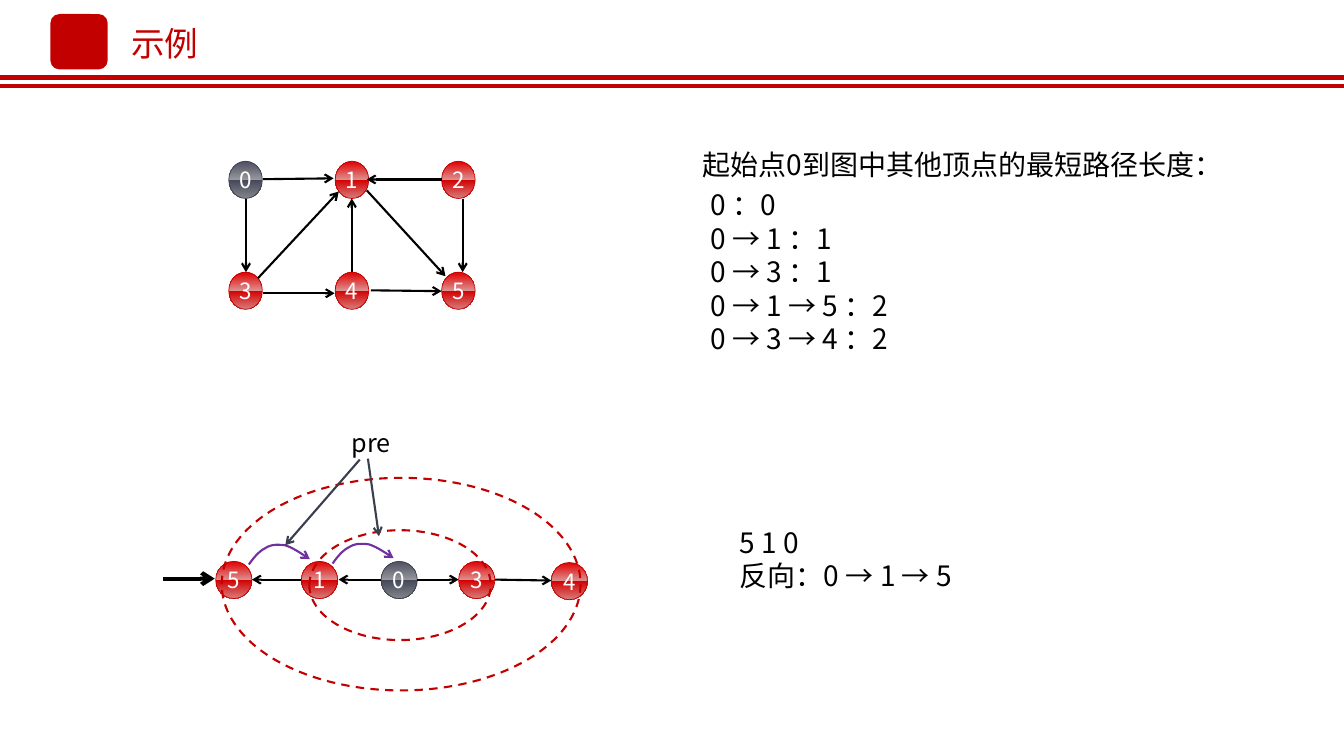
from lxml import etree
from pptx import Presentation
from pptx.dml.color import RGBColor
from pptx.enum.dml import MSO_LINE
from pptx.enum.shapes import MSO_CONNECTOR, MSO_SHAPE
from pptx.enum.text import MSO_ANCHOR, MSO_AUTO_SIZE, PP_ALIGN
from pptx.oxml.ns import qn
from pptx.util import Pt

STRAIGHT = MSO_CONNECTOR.STRAIGHT
OVAL, BADGE = MSO_SHAPE.OVAL, MSO_SHAPE.ROUNDED_RECTANGLE
DASH = MSO_LINE.DASH
MIDDLE = MSO_ANCHOR.MIDDLE
GROW, FIXED = MSO_AUTO_SIZE.SHAPE_TO_FIT_TEXT, MSO_AUTO_SIZE.NONE
LEFT, CENTER = PP_ALIGN.LEFT, PP_ALIGN.CENTER

FONT = "Noto Sans CJK SC"
COLORS = {"red": "C30000", "slate": "3B3E4D", "black": "000000",
          "white": "FFFFFF", "purple": "7030A0"}
GLOSS_STOPS = (0, 0, 50, 50, 100, 100)
GLOSS = {"red": ("E59D9D", "E20000", "DC9090", "D30000", "D77C7C", "D30000"),
         "slate": ("A3A4A8", "4B4F62", "97979C", "434758", "84858B", "434758")}

GRAPH_LEFT, GRAPH_TOP, COLUMN_STEP, ROW_STEP = 163.4, 115.2, 76, 79.2
GRAPH_ROWS = ("012", "345")
GRAPH_EDGES = [
    (188, 128, 238.3, 127.4), (315.4, 128.2, 262, 128.2),
    (175.7, 141.8, 175.7, 194.4), (188, 209.5, 239, 209.5),
    (265, 207.4, 315.4, 208), (330.5, 141.8, 330.5, 194.4),
    (251.3, 194.4, 251.3, 141.8), (184.3, 198.7, 242, 136.8),
    (262, 136, 318.2, 197.3),
]
CHAIN_NODES = [("5", 154.1, 401), ("1", 215.3, 401), ("0", 272.2, 401),
               ("3", 327.6, 401), ("4", 393.8, 401.8)]
CHAIN_EDGES = [(298.1, 414, 327.6, 414), (353.5, 414, 393.8, 414.7),
               (215.3, 414, 180, 414), (272.2, 414, 241.9, 414)]
LEVELS = [(221, 378.7, 129.6, 78.5), (158.4, 341.3, 256.3, 151.9)]
PRE_POINTERS = [(262.8, 327.6, 270.7, 383), (257, 328.3, 203.8, 389.5)]
HOP_STARTS = [(177.8, 403.2), (237.6, 402.5)]
HOP_CURVE = [(0, 0), (3.6, -5), (7.2, -9.4), (11.5, -11.5), (15.8, -14.4),
             (20.2, -14.4), (25.9, -13.7), (31, -12.2), (37.4, -7.9), (43.6, -3.8)]


def rgb(name):
    return RGBColor.from_string(COLORS[name])


def write_text(frame, text, size=20, color="black", align=LEFT, leading=None):
    """Fill a text frame, one paragraph per line of text; leading is a multiple of size."""
    frame.text = text
    for paragraph in frame.paragraphs:
        paragraph.alignment = align
        if leading:
            paragraph.line_spacing = Pt(size * leading)
        for run in paragraph.runs:
            run.font.size = Pt(size)
            run.font.color.rgb = rgb(color)
            run.font.name = FONT
            east_asian = etree.SubElement(run.font._element, qn("a:ea"))
            east_asian.set("typeface", FONT)


def curve_points(controls, steps=10):
    """Sample a chain of cubic Bezier segments, leaving out its first point."""
    points = []
    for first in range(0, len(controls) - 1, 3):
        segment = controls[first:first + 4]
        for step in range(1, steps + 1):
            t = step / steps
            weights = ((1 - t) ** 3, 3 * t * (1 - t) ** 2, 3 * t * t * (1 - t), t ** 3)
            points.append(tuple(sum(w * point[axis] for w, point in zip(weights, segment))
                                for axis in (0, 1)))
    return points


class SlidePainter:
    def __init__(self, slide):
        self.slide = slide
        self.shapes = slide.shapes

    def stroke(self, line, color, width, arrow=False):
        line.color.rgb = rgb(color)
        line.width = Pt(width)
        if arrow:
            etree.SubElement(line._get_or_add_ln(), qn("a:tailEnd")).set("type", "arrow")

    def title(self, text, left, top, width, height):
        heading = self.shapes.title
        heading.left, heading.top = Pt(left), Pt(top)
        heading.width, heading.height = Pt(width), Pt(height)
        frame = heading.text_frame
        frame.word_wrap = False
        frame.auto_size = FIXED
        frame.vertical_anchor = MIDDLE
        write_text(frame, text, size=24, color="red")

    def text(self, text, left, top, width, height, **text_format):
        box = self.shapes.add_textbox(Pt(left), Pt(top), Pt(width), Pt(height))
        box.text_frame.word_wrap = True
        box.text_frame.auto_size = GROW
        write_text(box.text_frame, text, leading=1.2, **text_format)

    def line(self, x1, y1, x2, y2, color="black", width=1.5, arrow=True):
        connector = self.shapes.add_connector(STRAIGHT, Pt(x1), Pt(y1), Pt(x2), Pt(y2))
        self.stroke(connector.line, color, width, arrow)
        etree.SubElement(connector._element.spPr, qn("a:effectLst"))

    def shape(self, kind, left, top, width, height):
        shape = self.shapes.add_shape(kind, Pt(left), Pt(top), Pt(width), Pt(height))
        shape.shadow.inherit = False
        return shape

    def badge(self, left, top, width, height):
        badge = self.shape(BADGE, left, top, width, height)
        badge.fill.solid()
        badge.fill.fore_color.rgb = rgb("red")
        badge.line.fill.background()

    def level(self, left, top, width, height):
        ring = self.shape(OVAL, left, top, width, height)
        ring.fill.background()
        self.stroke(ring.line, "red", 1.5)
        ring.line.dash_style = DASH

    def node(self, label, left, top, width, height=26.6):
        """Draw a glossy vertex; the start vertex 0 is slate."""
        tone = "slate" if label == "0" else "red"
        vertex = self.shape(OVAL, left, top, width, height)
        vertex.fill.gradient()
        vertex.fill.gradient_angle = 270
        stops = next(vertex._element.iter(qn("a:gsLst")))
        for stop in list(stops):
            stops.remove(stop)
        for position, color in zip(GLOSS_STOPS, GLOSS[tone]):
            stop = etree.SubElement(stops, qn("a:gs"), pos=str(position * 1000))
            etree.SubElement(stop, qn("a:srgbClr"), val=color)
        self.stroke(vertex.line, tone, 0.5)
        frame = vertex.text_frame
        frame.margin_left = frame.margin_right = frame.margin_top = frame.margin_bottom = 0
        frame.vertical_anchor = MIDDLE
        write_text(frame, label, size=16, color="white", align=CENTER)

    def hop(self, x, y):
        """Draw the curved arrow from a vertex to its predecessor."""
        builder = self.shapes.build_freeform(Pt(x), Pt(y))
        builder.add_line_segments(
            [(Pt(x + dx), Pt(y + dy)) for dx, dy in curve_points(HOP_CURVE)], close=False)
        arc = builder.convert_to_shape()
        arc.shadow.inherit = False
        arc.fill.background()
        self.stroke(arc.line, "purple", 1.5, arrow=True)


def main():
    deck = Presentation()
    deck.slide_width, deck.slide_height = Pt(960), Pt(540)
    painter = SlidePainter(deck.slides.add_slide(deck.slide_layouts[5]))

    painter.title("示例", 86.4, 13, 63.4, 36)
    for y in (55.4, 61.2):
        painter.line(0, y, 960, y, color="red", width=3, arrow=False)
    painter.badge(36, 10, 41, 39.6)

    for row, labels in enumerate(GRAPH_ROWS):
        for column, label in enumerate(labels):
            painter.node(label, GRAPH_LEFT + column * COLUMN_STEP,
                         GRAPH_TOP + row * ROW_STEP, 24)
    for edge in GRAPH_EDGES:
        painter.line(*edge)

    painter.text("0 ：0\n0 → 1 ：1\n0 → 3 ：1\n0 → 1 → 5 ：2\n0 → 3 → 4 ：2",
                 500.4, 130.3, 174.2, 128.2)
    painter.text("起始点0到图中其他顶点的最短路径长度：", 494.6, 101.5, 393.8, 31.7)

    for label, left, top in CHAIN_NODES:
        painter.node(label, left, top, 25.9)
    for level in LEVELS:
        painter.level(*level)
    for edge in CHAIN_EDGES:
        painter.line(*edge)
    painter.line(116.6, 413.3, 153.4, 413.3, width=3)

    for start in HOP_STARTS:
        painter.hop(*start)
    painter.text("5 1 0\n反向：0 → 1 → 5", 521.3, 371.5, 196.6, 55.4)
    painter.text("pre", 244.1, 301.7, 50.4, 28.8, size=18)
    for pointer in PRE_POINTERS:
        painter.line(*pointer, color="slate")

    deck.save("out.pptx")


if __name__ == "__main__":
    main()
